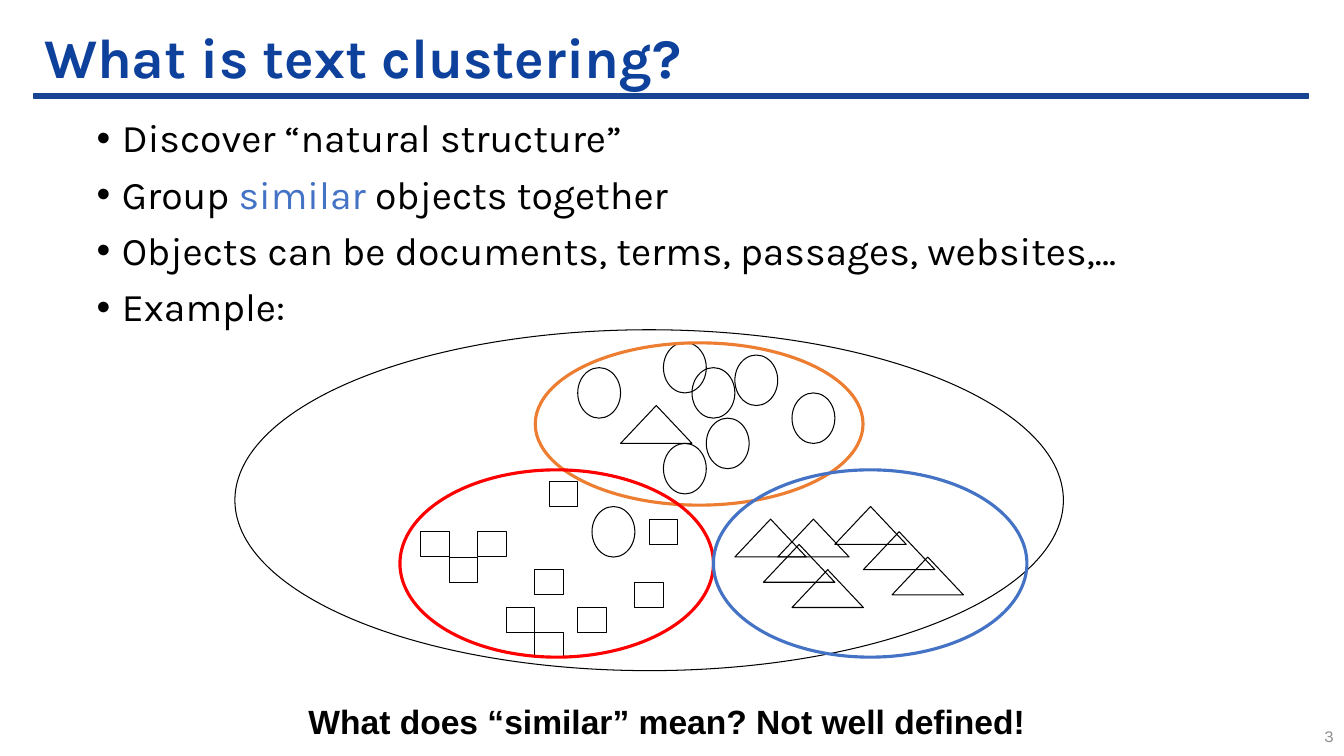
from dataclasses import dataclass

from lxml import etree
from pptx import Presentation
from pptx.dml.color import RGBColor
from pptx.enum.shapes import MSO_SHAPE
from pptx.enum.text import MSO_ANCHOR, MSO_AUTO_SIZE, PP_ALIGN
from pptx.oxml.ns import qn
from pptx.util import Cm, Pt

RECTANGLE, ELLIPSE = MSO_SHAPE.RECTANGLE, MSO_SHAPE.OVAL
TRIANGLE = MSO_SHAPE.ISOSCELES_TRIANGLE
TOP, MIDDLE = MSO_ANCHOR.TOP, MSO_ANCHOR.MIDDLE
LEFT, CENTER, RIGHT = PP_ALIGN.LEFT, PP_ALIGN.CENTER, PP_ALIGN.RIGHT
NO_AUTOFIT = MSO_AUTO_SIZE.NONE


@dataclass(frozen=True)
class Theme:
    heading_font: str = "Karla"
    closing_font: str = "Arial"
    title_size: float = 40
    body_size: float = 28
    closing_size: float = 24
    number_size: float = 12
    thin_line: float = 0.75
    thick_line: float = 2.25
    title: str = "0E419C"
    rule: str = "174593"
    text: str = "000000"
    number: str = "8C8C8C"
    blue: str = "4472C4"
    orange: str = "ED7D31"
    red: str = "FF0000"


THEME = Theme()

# Each bullet is a list of (text, colour) runs
BULLETS = [
    [("Discover “natural structure”", THEME.text)],
    [("Group ", THEME.text), ("similar", THEME.blue), (" objects together", THEME.text)],
    [("Objects can be documents, terms, passages, websites,…", THEME.text)],
    [("Example:", THEME.text)],
]

# The collection is an ellipse divided into a grid; objects sit on grid points
COLLECTION = (5.92, 8.31, 20.88, 8.59)
GRID_COLUMNS, GRID_ROWS = 58, 27

# Preset, columns wide, rows high, (column, row) of each object
OBJECTS = [
    (RECTANGLE, 2, 2, [(13, 16), (15, 18), (17, 16), (19, 22), (21, 24),
                       (24, 22), (22, 12), (21, 19), (28, 20), (29, 15)]),
    (ELLIPSE, 3, 4, [(24, 3), (25, 14), (33, 7), (30, 9),
                     (30, 1), (32, 3), (35, 2), (39, 5)]),
    (TRIANGLE, 5, 3, [(35, 15), (37, 17), (39, 19), (38, 15),
                      (27, 6), (42, 14), (44, 16), (46, 18)]),
]

CLUSTERS = [
    ((13.49, 8.64, 8.26, 4.09), THEME.orange),
    ((10.08, 11.84, 7.9, 4.72), THEME.red),
    ((17.98, 11.84, 7.9, 4.72), THEME.blue),
]


def place(shape, box):
    shape.left, shape.top, shape.width, shape.height = map(Cm, box)


def style_font(font, name, size, color, bold=False):
    font.name = name
    font.size = Pt(size)
    font.bold = bold
    font.color.rgb = RGBColor.from_string(color)


def add_figure(shapes, preset, box, color, line_width, fill=None):
    shape = shapes.add_shape(preset, *map(Cm, box))
    shape.shadow.inherit = False
    if fill:
        shape.fill.solid()
        shape.fill.fore_color.rgb = RGBColor.from_string(fill)
    else:
        shape.fill.background()
    shape.line.color.rgb = RGBColor.from_string(color)
    shape.line.width = Pt(line_width)


def set_frame(text_frame, anchor):
    text_frame.auto_size = NO_AUTOFIT
    text_frame.word_wrap = True
    text_frame.vertical_anchor = anchor


def set_title(slide, text, box):
    title = slide.shapes.title
    place(title, box)
    set_frame(title.text_frame, MIDDLE)
    title.text_frame.text = text
    paragraph = title.text_frame.paragraphs[0]
    paragraph.alignment = LEFT
    paragraph.line_spacing = 0.9
    style_font(paragraph.runs[0].font, THEME.heading_font, THEME.title_size,
               THEME.title, bold=True)


def add_bullet(paragraph):
    properties = paragraph._p.get_or_add_pPr()
    properties.set("marL", str(Cm(0.64)))
    properties.set("indent", str(Cm(-0.64)))
    etree.SubElement(properties, qn("a:buFont"), typeface="Arial")
    etree.SubElement(properties, qn("a:buChar"), char="•")


def set_bullets(slide, bullets, box):
    body = slide.placeholders[1]
    place(body, box)
    text_frame = body.text_frame
    set_frame(text_frame, TOP)
    text_frame.text = "\n".join([""] * len(bullets))
    for index, (paragraph, runs) in enumerate(zip(text_frame.paragraphs, bullets)):
        add_bullet(paragraph)
        paragraph.line_spacing = 0.9
        paragraph.space_before = Pt(10 if index else 0)
        for text, color in runs:
            run = paragraph.add_run()
            run.text = text
            style_font(run.font, THEME.heading_font, THEME.body_size, color)


def add_label(slide, text, box, alignment, anchor, *font_style):
    label = slide.shapes.add_textbox(*map(Cm, box))
    set_frame(label.text_frame, anchor)
    label.text_frame.text = text
    paragraph = label.text_frame.paragraphs[0]
    paragraph.alignment = alignment
    style_font(paragraph.runs[0].font, *font_style)


def add_collection(slide):
    shapes = slide.shapes.add_group_shape().shapes
    add_figure(shapes, ELLIPSE, COLLECTION, THEME.text, THEME.thin_line)
    left, top, width, height = COLLECTION
    column_width, row_height = width / GRID_COLUMNS, height / GRID_ROWS
    for preset, columns, rows, points in OBJECTS:
        for column, row in points:
            box = (left + column * column_width, top + row * row_height,
                   columns * column_width, rows * row_height)
            add_figure(shapes, preset, box, THEME.text, THEME.thin_line)


def add_clusters(slide):
    shapes = slide.shapes.add_group_shape().shapes
    for box, color in CLUSTERS:
        add_figure(shapes, ELLIPSE, box, color, THEME.thick_line)


def main():
    presentation = Presentation()
    presentation.slide_width = Cm(33.87)
    presentation.slide_height = Cm(19.05)
    slide = presentation.slides.add_slide(presentation.slide_layouts[1])

    # Heading with its rule
    add_figure(slide.shapes, RECTANGLE, (0.86, 2.36, 32.11, 0.13),
               THEME.rule, 1, fill=THEME.rule)
    set_title(slide, "What is text clustering?", (0.86, 0.66, 32.11, 1.7))

    # Definition
    set_bullets(slide, BULLETS, (2.18, 2.87, 30.18, 5.97))

    # Example diagram
    add_collection(slide)
    add_clusters(slide)

    # Closing question and slide number
    add_label(slide, "What does “similar” mean? Not well defined!",
              (5.82, 17.53, 21.97, 1.27), CENTER, TOP,
              THEME.closing_font, THEME.closing_size, THEME.text, True)
    add_label(slide, "3", (32.17, 18.03, 1.7, 1.02), RIGHT, MIDDLE,
              THEME.heading_font, THEME.number_size, THEME.number)

    presentation.save("out.pptx")


if __name__ == "__main__":
    main()
